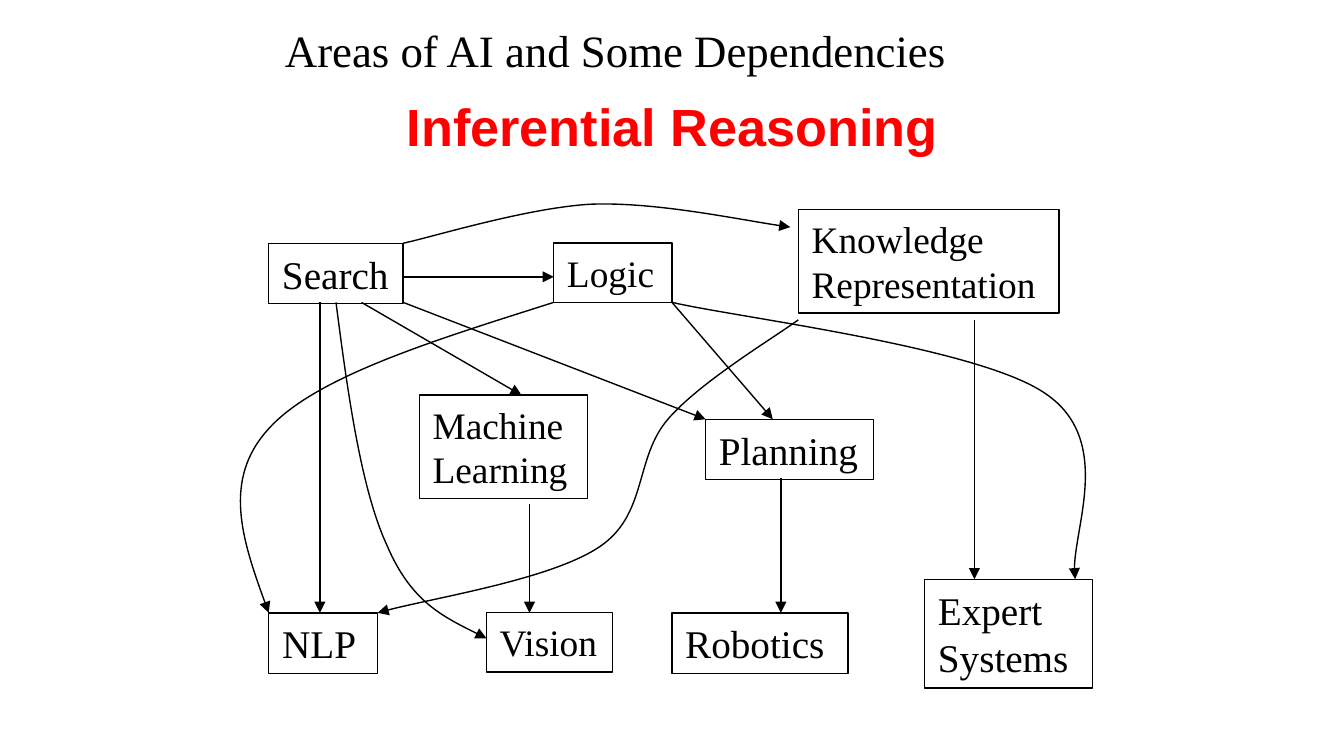
"""Build a slide of the areas of AI and the dependencies between them."""
from typing import NamedTuple

from lxml.etree import SubElement
from pptx import Presentation
from pptx.dml.color import RGBColor
from pptx.enum.shapes import MSO_CONNECTOR as Connector, MSO_SHAPE as Shape
from pptx.enum.text import MSO_ANCHOR as Anchor, MSO_AUTO_SIZE as AutoSize, PP_ALIGN as Align
from pptx.oxml.ns import qn
from pptx.util import Inches, Pt

BLACK = "000000"
RED = "FF0000"
SERIF = "Times New Roman"
SANS = "Arial"
Point = tuple[float, float]


class Area(NamedTuple):
    name: str
    left: float
    top: float
    width: float
    height: float
    size: int


class Arrow(NamedTuple):
    start: Point
    end: Point


class Curve(NamedTuple):
    start: Point
    controls: list[Point]


AREAS = [
    Area("Search", 2, 1.81, 1, 0.45, 21),
    Area("Vision", 3.62, 4.56, 0.94, 0.44, 20),
    Area("Planning", 5.25, 3.12, 1.25, 0.45, 21),
    Area("Machine Learning", 3.12, 2.94, 1.25, 0.77, 20),
    Area("Knowledge Representation", 5.94, 1.56, 1.94, 0.77, 20),
    Area("Logic", 4.12, 1.81, 0.88, 0.44, 20),
    Area("Expert Systems", 6.88, 4.31, 1.25, 0.81, 21),
    Area("Robotics", 5, 4.56, 1.31, 0.45, 21),
    Area("NLP", 2, 4.56, 0.81, 0.45, 21),
]

ARROWS = [
    Arrow((2.38, 2.25), (2.38, 4.56)),
    Arrow((3, 2.06), (4.12, 2.06)),
    Arrow((3, 2.25), (5.25, 3.12)),
    Arrow((2.69, 2.25), (3.88, 2.94)),
    Arrow((5, 2.25), (5.75, 3.12)),
    Arrow((7.25, 2.38), (7.25, 4.31)),
    Arrow((3.94, 3.75), (3.94, 4.56)),
    Arrow((5.81, 3.56), (5.81, 4.56)),
]

CURVES = [
    Curve((3, 1.81), [(3.23, 1.76), (3.91, 1.55), (4.39, 1.52),
                      (4.87, 1.5), (5.57, 1.65), (5.88, 1.69)]),
    Curve((2.5, 2.25), [(2.59, 2.95), (2.69, 3.65), (2.88, 4.06),
                        (3.06, 4.48), (3.34, 4.61), (3.62, 4.75)]),
    Curve((4.12, 2.25), [(3.24, 2.53), (2.35, 2.8), (2, 3.19),
                         (1.65, 3.57), (1.82, 4.07), (2, 4.56)]),
    Curve((5, 2.25), [(5.46, 2.36), (7.28, 2.58), (7.78, 2.93),
                      (8.28, 3.27), (7.95, 4.02), (8, 4.31)]),
    Curve((5.94, 2.38), [(5.78, 2.5), (5.21, 2.84), (4.97, 3.12),
                         (4.72, 3.41), (4.82, 3.83), (4.46, 4.07),
                         (4.1, 4.31), (3.15, 4.46), (2.81, 4.56)]),
]


def color(value: str) -> RGBColor:
    return RGBColor.from_string(value)


def write(shape, text: str, size: int, font: str, ink: str, align: Align, bold: bool = False):
    frame = shape.text_frame
    frame.word_wrap = True
    frame.vertical_anchor = Anchor.TOP
    paragraph = frame.paragraphs[0]
    paragraph.alignment = align
    run = paragraph.add_run()
    run.text = text
    run.font.size = Pt(size)
    run.font.name = font
    run.font.bold = bold
    run.font.color.rgb = color(ink)
    return paragraph


def outline(shape) -> None:
    shape.line.color.rgb = color(BLACK)
    shape.line.width = Pt(0.75)


def add_arrowhead(shape) -> None:
    outline(shape)
    SubElement(shape.get_or_add_ln(), qn("a:tailEnd"), type="triangle")


def add_title(slide) -> None:
    title = slide.shapes.title
    title.left, title.top = Inches(2.12), Inches(0.18)
    title.width, title.height = Inches(6.46), Inches(1.2)
    frame = title.text_frame
    frame.auto_size = AutoSize.NONE
    frame.margin_left = frame.margin_right = frame.margin_top = frame.margin_bottom = 0
    paragraph = write(title, "Areas of AI and Some Dependencies", 24, SERIF, BLACK, Align.LEFT)
    paragraph.line_spacing = Pt(28)
    paragraph.space_after = Pt(18)


def add_area(slide, area: Area) -> None:
    box = slide.shapes.add_shape(
        Shape.RECTANGLE, Inches(area.left), Inches(area.top), Inches(area.width), Inches(area.height))
    box.shadow.inherit = False
    box.fill.background()
    outline(box)
    box.text_frame.auto_size = AutoSize.SHAPE_TO_FIT_TEXT
    write(box, area.name, area.size, SERIF, BLACK, Align.LEFT)


def add_arrow(slide, arrow: Arrow) -> None:
    ends = [Inches(value) for value in arrow.start + arrow.end]
    connector = slide.shapes.add_connector(Connector.STRAIGHT, *ends)
    add_arrowhead(connector)
    SubElement(connector._element.spPr, qn("a:effectLst"))


def add_curve(slide, curve: Curve) -> None:
    builder = slide.shapes.build_freeform(*map(Inches, curve.start))
    builder.add_line_segments([(Inches(x), Inches(y)) for x, y in curve.controls], close=False)
    shape = builder.convert_to_shape()
    shape.shadow.inherit = False
    shape.fill.background()
    add_arrowhead(shape)
    segments = list(shape._element.iter(qn("a:lnTo")))
    for index in range(0, len(segments), 3):
        outline_points = segments[index:index + 3]
        parent = outline_points[0].getparent()
        bezier = SubElement(parent, qn("a:cubicBezTo"))
        for segment in outline_points:
            bezier.append(segment[0])
            parent.remove(segment)


def add_subtitle(slide) -> None:
    box = slide.shapes.add_textbox(Inches(1.19), Inches(0.65), Inches(7.62), Inches(0.57))
    box.text_frame.auto_size = AutoSize.SHAPE_TO_FIT_TEXT
    write(box, "Inferential Reasoning", 28, SANS, RED, Align.CENTER, bold=True)


def main() -> None:
    presentation = Presentation()
    presentation.slide_width = Inches(10)
    presentation.slide_height = Inches(10 * 9 / 16)
    slide = presentation.slides.add_slide(presentation.slide_layouts[5])
    add_title(slide)
    for area in AREAS:
        add_area(slide, area)
    for arrow in ARROWS:
        add_arrow(slide, arrow)
    for curve in CURVES:
        add_curve(slide, curve)
    add_subtitle(slide)
    presentation.save("out.pptx")


if __name__ == "__main__":
    main()
